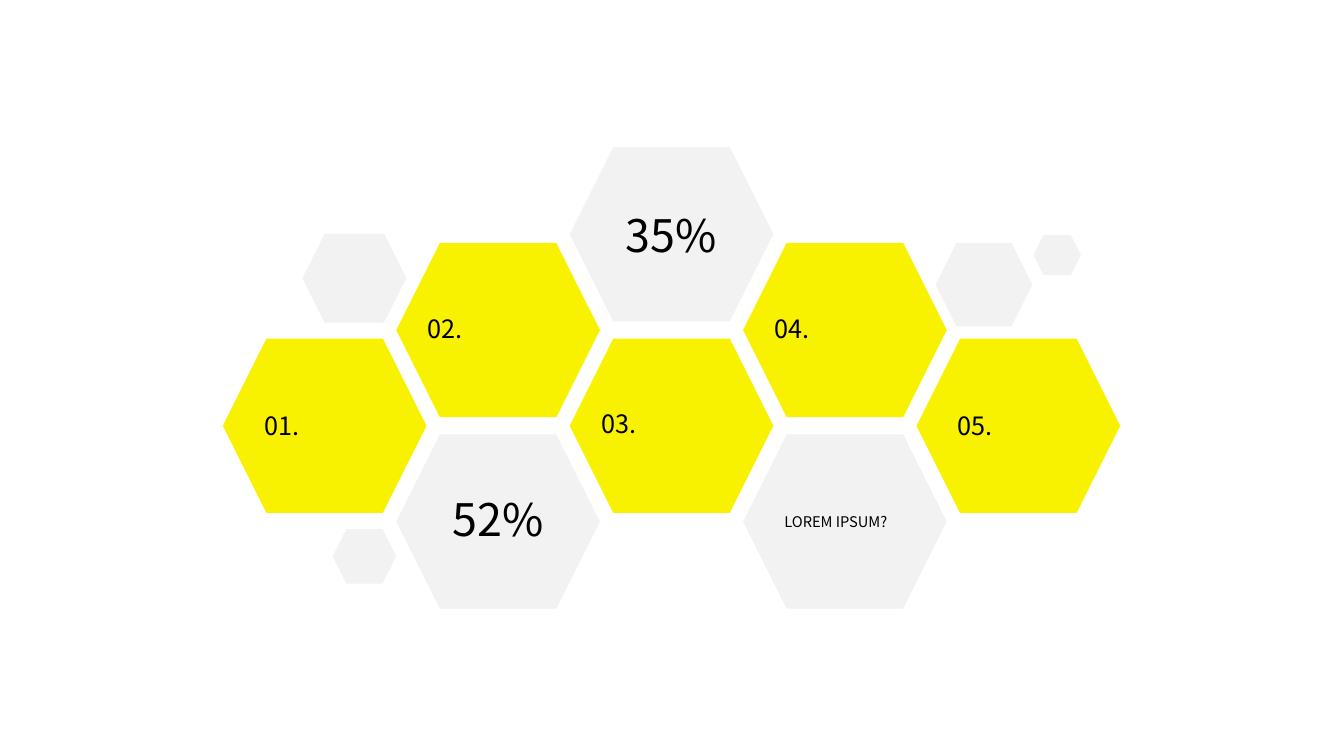
from dataclasses import dataclass

from pptx import Presentation
from pptx.dml.color import RGBColor
from pptx.enum.shapes import MSO_SHAPE as Preset
from pptx.enum.text import MSO_ANCHOR as Anchor, PP_ALIGN as Align
from pptx.shapes.autoshape import Shape
from pptx.slide import Slide
from pptx.util import Inches, Pt


@dataclass(frozen=True)
class Theme:
    font: str = "Noto Sans CJK KR"
    ink: RGBColor = RGBColor(0x00, 0x00, 0x00)
    yellow: RGBColor = RGBColor(0xF8, 0xF2, 0x00)
    grey: RGBColor = RGBColor(0xF2, 0xF2, 0xF2)
    figure: float = 32
    number: float = 18
    caption: float = 10.5


THEME = Theme()
BLANK_LAYOUT = 6
CELL_WIDTH, CELL_HEIGHT = 2.02, 1.73
GRID_LEFT, GRID_TOP = 2.21, 1.46
COLUMN_STEP, ROW_STEP = 1.72, 0.95


@dataclass(frozen=True)
class Cell:
    column: int
    row: int
    text: str
    color: RGBColor = THEME.yellow
    size: float = THEME.number
    align: Align = Align.LEFT
    inset: float = 0
    spacing: float = 0.9


@dataclass(frozen=True)
class Accent:
    left: float
    top: float
    width: float
    height: float


CELLS = [
    Cell(1, 3, "52%", THEME.grey, THEME.figure, Align.CENTER),
    Cell(0, 2, "01.", inset=0.1, spacing=1),
    Cell(2, 2, "03."),
    Cell(3, 3, "LOREM IPSUM?", THEME.grey, THEME.caption, inset=0.1, spacing=1),
    Cell(1, 1, "02."),
    Cell(2, 0, "35%", THEME.grey, THEME.figure, Align.CENTER, 0.1, 1),
    Cell(3, 1, "04."),
    Cell(4, 2, "05.", inset=0.1, spacing=1),
]

ACCENTS = [
    Accent(3.3, 5.25, 0.63, 0.54),
    Accent(10.25, 2.33, 0.47, 0.4),
    Accent(3, 2.32, 1.03, 0.88),
    Accent(9.28, 2.41, 0.96, 0.83),
]


def add_hexagon(
    page: Slide, left: float, top: float, width: float, height: float, color: RGBColor
) -> Shape:
    hexagon = page.shapes.add_shape(
        Preset.HEXAGON, Inches(left), Inches(top), Inches(width), Inches(height)
    )
    hexagon.shadow.inherit = False
    hexagon.fill.solid()
    hexagon.fill.fore_color.rgb = color
    hexagon.line.fill.background()
    return hexagon


def add_cell(page: Slide, cell: Cell) -> None:
    hexagon = add_hexagon(
        page,
        GRID_LEFT + cell.column * COLUMN_STEP,
        GRID_TOP + cell.row * ROW_STEP,
        CELL_WIDTH,
        CELL_HEIGHT,
        cell.color,
    )
    frame = hexagon.text_frame
    frame.word_wrap = True
    frame.vertical_anchor = Anchor.MIDDLE
    frame.margin_left = frame.margin_right = Inches(cell.inset)
    frame.margin_top = frame.margin_bottom = Inches(0)
    para = frame.paragraphs[0]
    para.alignment = cell.align
    para.line_spacing = cell.spacing
    span = para.add_run()
    span.text = cell.text
    span.font.name = THEME.font
    span.font.size = Pt(cell.size)
    span.font.color.rgb = THEME.ink


def main() -> None:
    deck = Presentation()
    deck.slide_width, deck.slide_height = Inches(13.33), Inches(7.5)
    page = deck.slides.add_slide(deck.slide_layouts[BLANK_LAYOUT])
    for accent in ACCENTS:
        add_hexagon(
            page, accent.left, accent.top, accent.width, accent.height, THEME.grey
        )
    for cell in CELLS:
        add_cell(page, cell)
    deck.save("out.pptx")


if __name__ == "__main__":
    main()
